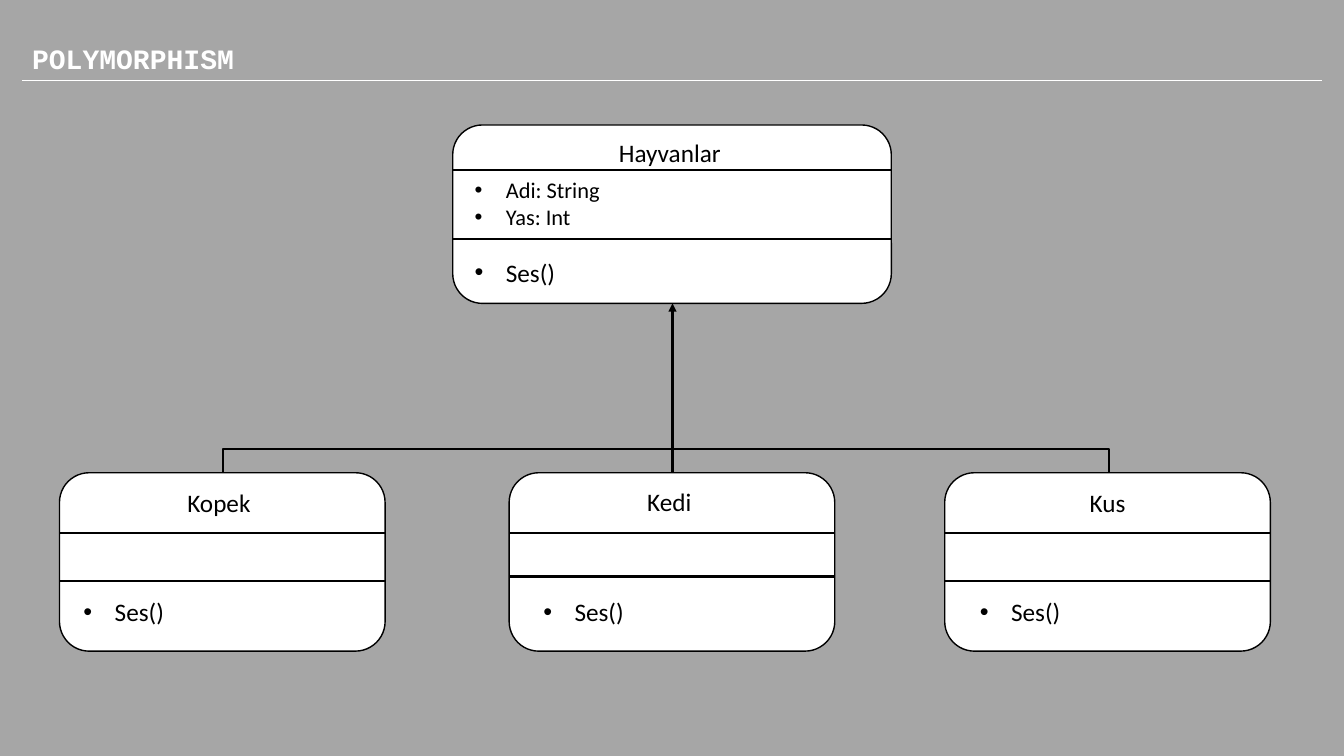
from lxml.etree import SubElement
from pptx import Presentation
from pptx.dml.color import RGBColor
from pptx.enum.shapes import MSO_CONNECTOR as Link, MSO_SHAPE as Shape
from pptx.enum.text import MSO_AUTO_SIZE as AutoSize
from pptx.oxml.ns import qn
from pptx.util import Inches, Pt

COLORS = {"background": "A6A6A6", "white": "FFFFFF", "black": "000000"}
INDENT = Inches(0.31)


def add_text(shapes, lines, left, top, width, height, size=18,
             font="Calibri", color="black", bold=False, bullets=False):
    box = shapes.add_textbox(*map(Inches, (left, top, width, height)))
    frame = box.text_frame
    frame.word_wrap = bullets
    frame.auto_size = AutoSize.SHAPE_TO_FIT_TEXT
    for index, line in enumerate(lines):
        para = frame.add_paragraph() if index else frame.paragraphs[0]
        if bullets:
            props = para._p.get_or_add_pPr()
            props.set("marL", str(INDENT))
            props.set("indent", str(-INDENT))
            SubElement(props, qn("a:buFont"), typeface="Arial")
            SubElement(props, qn("a:buChar"), char="•")
        span = para.add_run()
        span.text = line
        span.font.name, span.font.size, span.font.bold = font, Pt(size), bold
        span.font.color.rgb = RGBColor.from_string(COLORS[color])


def add_line(shapes, start, end, kind=Link.STRAIGHT, color="black", weight=1.5):
    line = shapes.add_connector(kind, *map(Inches, (*start, *end)))
    line.line.color.rgb = RGBColor.from_string(COLORS[color])
    line.line.width = Pt(weight)
    SubElement(line._element.spPr, qn("a:effectLst"))
    return line


deck = Presentation()
deck.slide_width, deck.slide_height = Inches(13.33), Inches(7.5)
page = deck.slides.add_slide(deck.slide_layouts[6])
page.background.fill.solid()
page.background.fill.fore_color.rgb = RGBColor.from_string(COLORS["background"])

# Heading
add_text(page.shapes, ["POLYMORPHISM"], 0.22, 0.36, 2.26, 0.44, size=20,
         font="Courier New", color="white", bold=True)
add_line(page.shapes, (0.22, 0.8), (13.11, 0.8), color="white", weight=0.5)

# Inheritance lines: a thin elbow turned on its side joins the outer classes
bracket = add_line(page.shapes, (6.61, 9.09), (6.6, 0.3), kind=Link.ELBOW)
properties = bracket._element.spPr
properties.find(qn("a:xfrm")).set("rot", str(90 * 60000))
geometry = properties.find(qn("a:prstGeom"))
guides = geometry.find(qn("a:avLst"))
if guides is None:
    guides = SubElement(geometry, qn("a:avLst"))
SubElement(guides, qn("a:gd"), name="adj1", fmla="val 2500000")

arrow = add_line(page.shapes, (6.67, 4.69), (6.67, 3.01))
SubElement(arrow.line._get_or_add_ln(), qn("a:tailEnd"), type="triangle")

# Class cards: left, top, width, divider offsets,
# name with its left, offset and width, fields, method left and offset
CARD_HEIGHT = 1.77
cards = [
    (4.49, 1.24, 4.35, (0.45, 1.13), ("Hayvanlar", 6.04, 0.07, 1.25),
     ["Adi: String", "Yas: Int"], (4.61, 1.26)),
    (0.59, 4.69, 3.23, (0.6, 1.07), ("Kopek", 1.76, 0.1, 0.88), [], (0.73, 1.18)),
    (5.05, 4.69, 3.23, (0.6, 1.03), ("Kedi", 6.32, 0.09, 0.69), [], (5.29, 1.18)),
    (9.37, 4.69, 3.23, (0.6, 1.07), ("Kus", 10.71, 0.1, 0.56), [], (9.62, 1.18)),
]
for left, top, width, dividers, title, fields, method in cards:
    shapes = page.shapes.add_group_shape().shapes
    card = shapes.add_shape(Shape.ROUNDED_RECTANGLE,
                            *map(Inches, (left, top, width, CARD_HEIGHT)))
    card.shadow.inherit = False
    card.fill.solid()
    card.fill.fore_color.rgb = RGBColor.from_string(COLORS["white"])
    card.line.color.rgb = RGBColor.from_string(COLORS["black"])
    card.line.width = Pt(1)
    for offset in dividers:
        add_line(shapes, (left, top + offset), (left + width, top + offset))
    name, name_left, name_offset, name_width = title
    add_text(shapes, [name], name_left, top + name_offset, name_width, 0.4)
    method_left, method_offset = method
    if fields:
        add_text(shapes, fields, method_left, top + dividers[0] + 0.01, 2.17, 0.64,
                 size=16, bullets=True)
    add_text(shapes, ["Ses()"], method_left, top + method_offset, 2, 0.4, bullets=True)

deck.save("out.pptx")
